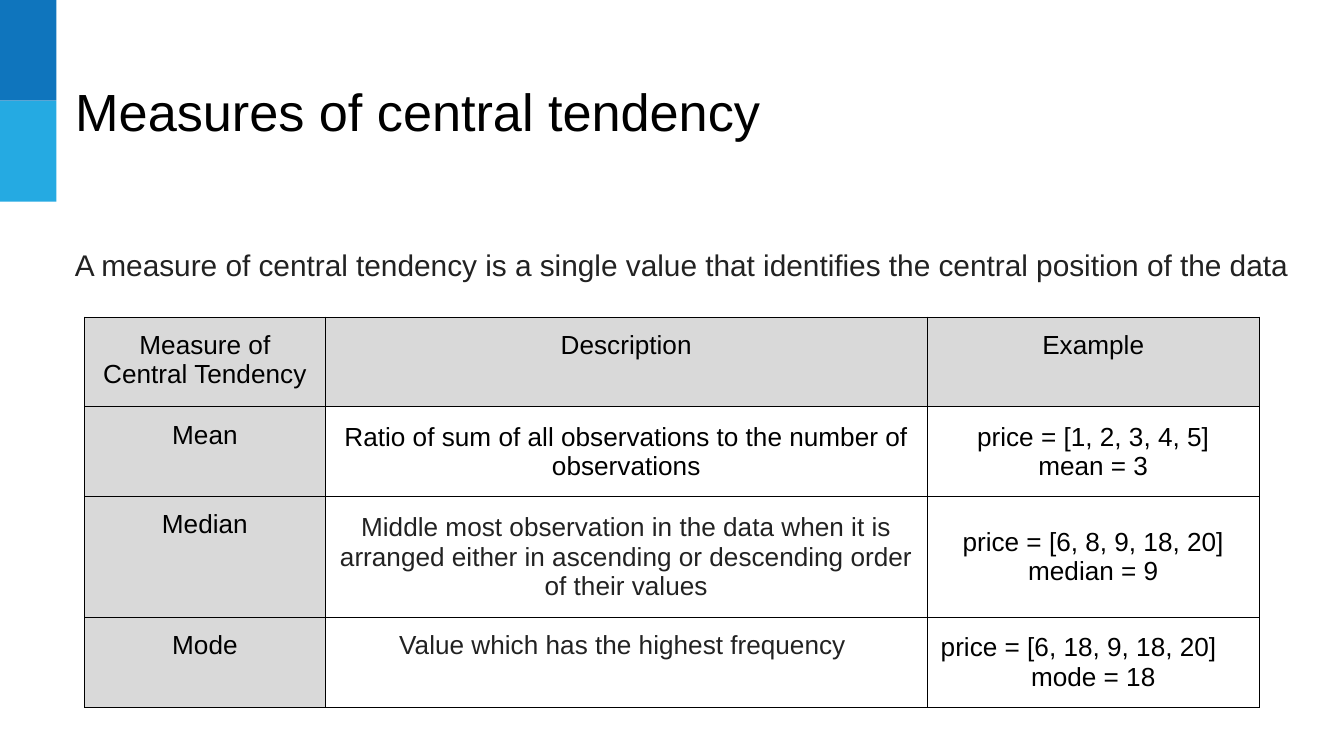
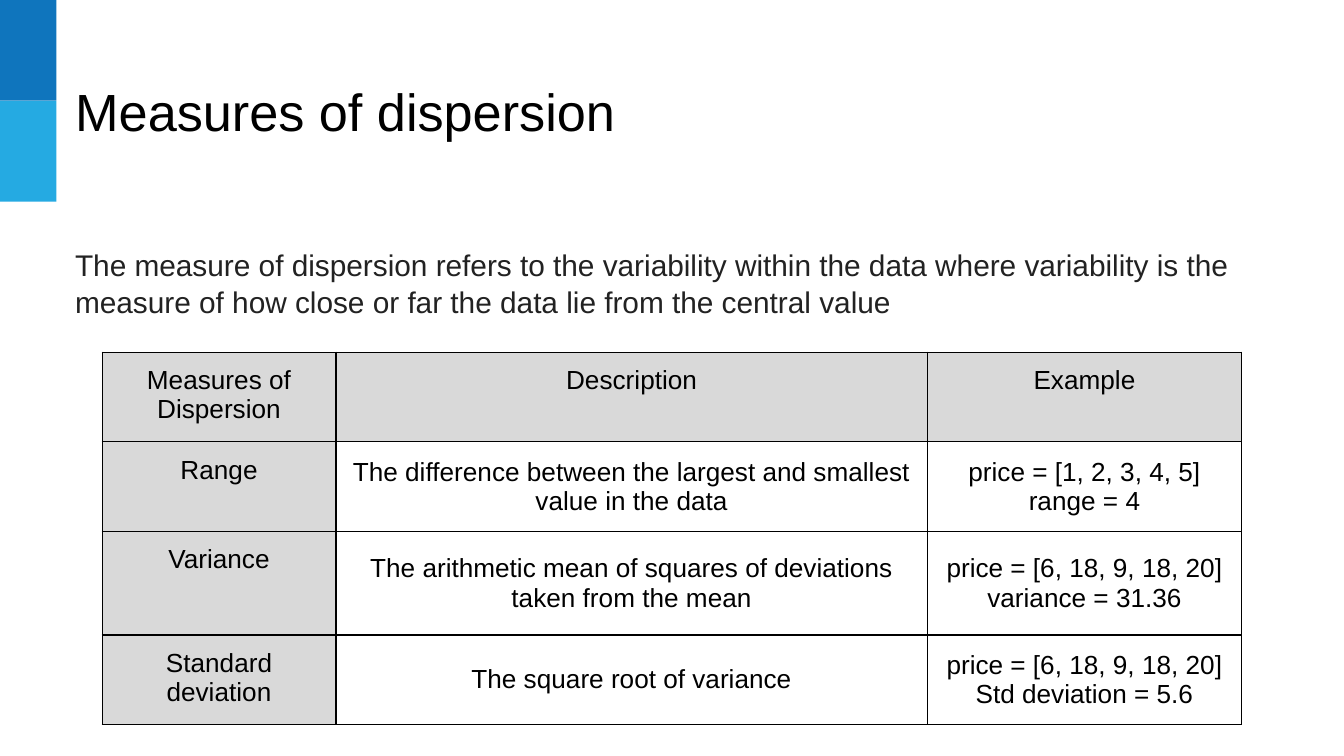
from dataclasses import dataclass

from lxml.etree import SubElement
from pptx import Presentation
from pptx.dml.color import RGBColor
from pptx.enum.shapes import MSO_SHAPE
from pptx.enum.text import MSO_ANCHOR as Anchor, PP_ALIGN as Align
from pptx.oxml.ns import qn
from pptx.util import Inches, Length, Pt

BLACK = RGBColor(0x00, 0x00, 0x00)
CHARCOAL = RGBColor(0x22, 0x22, 0x22)
GREY = RGBColor(0xD9, 0xD9, 0xD9)
BAND_COLORS = (RGBColor(0x0F, 0x75, 0xBD), RGBColor(0x25, 0xAA, 0xE2))

FONT = "Arial"
BORDER_WIDTH = Pt(0.75)
SLIDE_WIDTH, SLIDE_HEIGHT = Inches(10), Inches(5.625)
GRID_COLUMNS, GRID_ROWS = 100, 56.25
INSET = SLIDE_WIDTH // GRID_COLUMNS

BAND_WIDTH, BAND_HEIGHT = 4.2, 7.5
TEXT_LEFT = 4.6
TABLE_ROWS = (6.5, 6.1, 7.7, 3.6)


@dataclass(frozen=True)
class Cell:
    lines: tuple[str, ...]
    color: RGBColor = BLACK
    anchor: Anchor = Anchor.MIDDLE
    first_align: Align = Align.CENTER


@dataclass(frozen=True)
class MeasureTable:
    left: float
    top: float
    height: float
    columns: tuple[float, ...]
    heading: str
    measures: tuple[tuple[str, Cell, Cell], ...]


@dataclass(frozen=True)
class MeasureSlide:
    title: str
    summary: str
    summary_width: float
    table: MeasureTable


SLIDES = (
    MeasureSlide(
        "Measures of central tendency",
        "A measure of central tendency is a single value that identifies the central position of the data",
        95.4,
        MeasureTable(
            6.3, 23.6, 29, (17.9, 44.8, 24.7), "Measure of Central Tendency",
            (
                ("Mean",
                 Cell(("Ratio of sum of all observations to the number of observations",)),
                 Cell(("price = [1, 2, 3, 4, 5]", "mean = 3"))),
                ("Median",
                 Cell(("Middle most observation in the data when it is arranged either in "
                       "ascending or descending order of their values",), CHARCOAL),
                 Cell(("price = [6, 8, 9, 18, 20]", "median = 9"))),
                ("Mode",
                 Cell(("Value which has the highest frequency ",), CHARCOAL, Anchor.TOP),
                 Cell(("price = [6, 18, 9, 18, 20]", "mode = 18"), first_align=Align.LEFT)),
            ),
        ),
    ),
    MeasureSlide(
        "Measures of dispersion",
        "The measure of dispersion refers to the variability within the data where variability is "
        "the measure of how close or far the data lie from the central value",
        91.8,
        MeasureTable(
            7.6, 26.2, 27.7, (17.4, 44, 23.4), "Measures of Dispersion",
            (
                ("Range",
                 Cell(("The difference between the largest and smallest value in the data",)),
                 Cell(("price = [1, 2, 3, 4, 5]", "range = 4"))),
                ("Variance",
                 Cell(("The arithmetic mean of squares of deviations taken from the mean",)),
                 Cell(("price = [6, 18, 9, 18, 20]", "variance = 31.36"))),
                ("Standard deviation",
                 Cell(("The square root of variance",)),
                 Cell(("price = [6, 18, 9, 18, 20]", "Std deviation = 5.6"))),
            ),
        ),
    ),
)


def across(columns: float) -> Length:
    return Length(round(SLIDE_WIDTH * columns / GRID_COLUMNS))


def down(rows: float) -> Length:
    return Length(round(SLIDE_HEIGHT * rows / GRID_ROWS))


def set_insets(target) -> None:
    """Give a text frame or a table cell the shared inner margins."""
    target.margin_left = target.margin_right = INSET
    target.margin_top = target.margin_bottom = INSET


def write_run(paragraph, text: str, size: int, color: RGBColor, align: Align = Align.LEFT) -> None:
    paragraph.alignment = align
    run = paragraph.add_run()
    run.text = text
    run.font.name = FONT
    run.font.size = Pt(size)
    run.font.color.rgb = color


def prepare_frame(shape):
    frame = shape.text_frame
    frame.word_wrap = True
    frame.vertical_anchor = Anchor.TOP
    set_insets(frame)
    return frame


def add_bands(slide) -> None:
    """Draw the corner bands and hand them to the slide's layout."""
    tree = slide.slide_layout.shapes.element
    for index, color in enumerate(BAND_COLORS):
        band = slide.shapes.add_shape(
            MSO_SHAPE.RECTANGLE, 0, down(index * BAND_HEIGHT), across(BAND_WIDTH), down(BAND_HEIGHT))
        band.shadow.inherit = False
        band.fill.solid()
        band.fill.fore_color.rgb = color
        band.line.fill.background()
        band.element.find(f".//{qn('p:cNvPr')}").set("id", str(100 + index))
        tree.insert(2 + index, band.element)


def add_title(slide, text: str) -> None:
    title = slide.shapes.title
    title.left, title.top = across(TEXT_LEFT), down(4.9)
    title.width, title.height = across(73.7), down(6.3)
    write_run(prepare_frame(title).paragraphs[0], text, 28, BLACK)


def add_summary(slide, text: str, width: float) -> None:
    box = slide.shapes.add_textbox(across(TEXT_LEFT), down(17.2), across(width), down(8))
    paragraph = prepare_frame(box).paragraphs[0]
    paragraph.line_spacing = 1.05
    write_run(paragraph, text, 16, CHARCOAL)


def fill_cell(target, cell: Cell, shaded: bool) -> None:
    set_insets(target)
    target.vertical_anchor = cell.anchor
    if shaded:
        target.fill.solid()
        target.fill.fore_color.rgb = GREY
    else:
        target.fill.background()
    frame = target.text_frame
    for index, line in enumerate(cell.lines):
        paragraph = frame.add_paragraph() if index else frame.paragraphs[0]
        write_run(paragraph, line, 14, cell.color, Align.CENTER if index else cell.first_align)


def add_borders(graphic_frame) -> None:
    for properties in graphic_frame.element.iter(qn("a:tcPr")):
        for index, side in enumerate(("lnL", "lnR", "lnT", "lnB")):
            line = SubElement(properties, qn(f"a:{side}"), w=str(BORDER_WIDTH))
            fill = SubElement(line, qn("a:solidFill"))
            SubElement(fill, qn("a:srgbClr"), val=str(BLACK))
            properties.insert(index, line)


def add_measure_table(slide, content: MeasureTable) -> None:
    graphic_frame = slide.shapes.add_table(
        len(TABLE_ROWS), len(content.columns), across(content.left), down(content.top),
        across(sum(content.columns)), down(content.height))
    table = graphic_frame.table
    table.first_row = table.horz_banding = False
    for column, width in zip(table.columns, content.columns):
        column.width = across(width)
    for row, height in zip(table.rows, TABLE_ROWS):
        row.height = down(height)
    graphic_frame.height = down(content.height)

    def label(text: str) -> Cell:
        return Cell((text,), anchor=Anchor.TOP)

    header = tuple(map(label, (content.heading, "Description", "Example")))
    body = [(label(name), description, example) for name, description, example in content.measures]
    for row_index, cells in enumerate([header, *body]):
        for column_index, cell in enumerate(cells):
            shaded = row_index == 0 or column_index == 0
            fill_cell(table.cell(row_index, column_index), cell, shaded)
    add_borders(graphic_frame)


def main() -> None:
    presentation = Presentation()
    presentation.slide_width, presentation.slide_height = SLIDE_WIDTH, SLIDE_HEIGHT
    title_only = presentation.slide_layouts[5]
    for index, content in enumerate(SLIDES):
        slide = presentation.slides.add_slide(title_only)
        if index == 0:
            add_bands(slide)
        add_title(slide, content.title)
        add_summary(slide, content.summary, content.summary_width)
        add_measure_table(slide, content.table)
    presentation.save("out.pptx")


if __name__ == "__main__":
    main()
